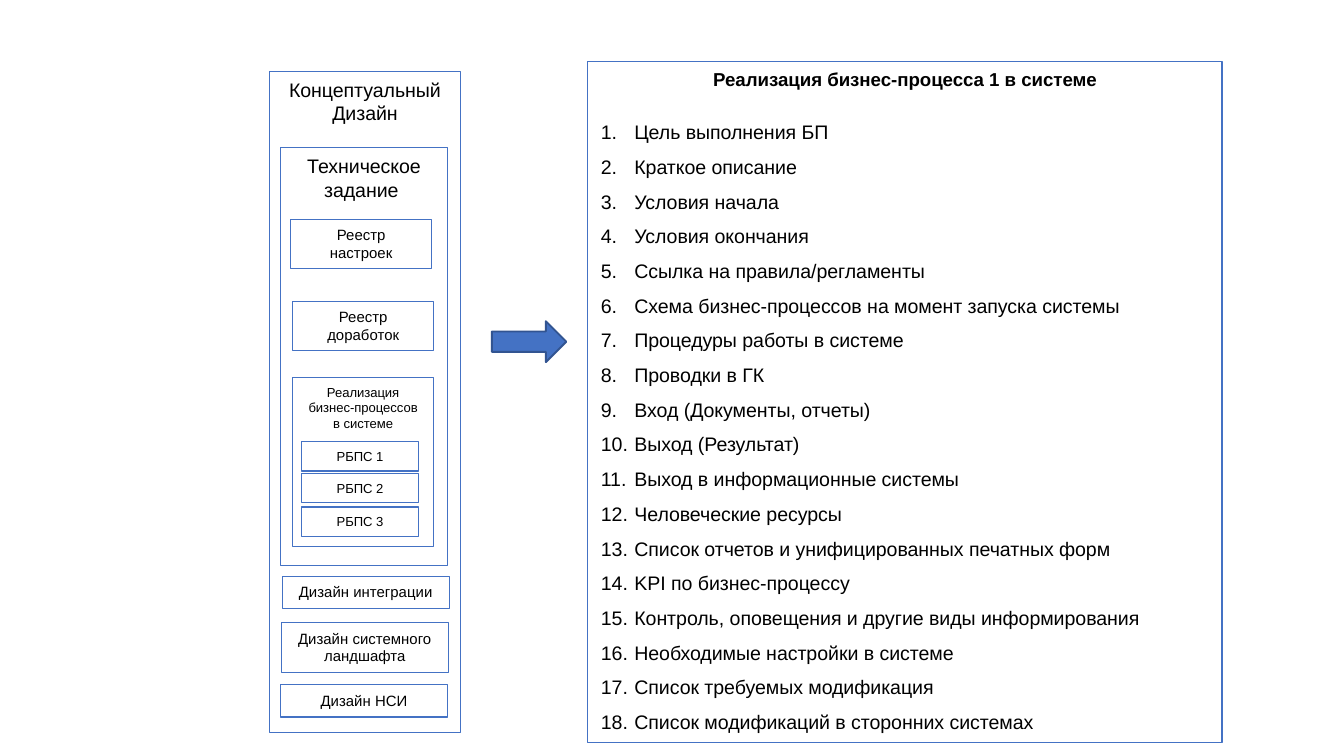
from dataclasses import dataclass

from lxml.etree import SubElement
from pptx import Presentation
from pptx.dml.color import RGBColor
from pptx.enum.shapes import MSO_SHAPE
from pptx.enum.text import MSO_ANCHOR, PP_ALIGN
from pptx.oxml.ns import qn
from pptx.util import Pt


@dataclass(frozen=True)
class Theme:
    font: str = "Arial"
    text: RGBColor = RGBColor(0x00, 0x00, 0x00)
    accent: RGBColor = RGBColor(0x44, 0x72, 0xC4)
    arrow_line: RGBColor = RGBColor(0x32, 0x54, 0x91)
    heading: float = 10.5
    title: float = 10
    label: float = 8
    small: float = 7


THEME = Theme()

LIST_TITLE = "Реализация бизнес-процесса 1 в системе"
LIST_ITEMS = [
    "Цель выполнения БП",
    "Краткое описание",
    "Условия начала",
    "Условия окончания",
    "Ссылка на правила/регламенты",
    "Схема бизнес-процессов на момент запуска системы",
    "Процедуры работы в системе",
    "Проводки в ГК",
    "Вход (Документы, отчеты)",
    "Выход (Результат)",
    "Выход в информационные системы",
    "Человеческие ресурсы",
    "Список отчетов и унифицированных печатных форм",
    "KPI по бизнес-процессу",
    "Контроль, оповещения и другие виды информирования",
    "Необходимые настройки в системе",
    "Список требуемых модификация",
    "Список модификаций в сторонних системах",
]

DESIGN_BOXES = [
    ("Концептуальный Дизайн", 144.4, 38.2, 102.3, 354.4, THEME.heading),
    ("Техническое задание ", 150.3, 79.2, 89.5, 223.7, THEME.heading),
    ("Дизайн интеграции", 151.2, 308.8, 89.5, 17.3, THEME.label),
    ("Дизайн системного ландшафта", 150.7, 333.5, 89.5, 26.8, THEME.label),
    ("Дизайн НСИ", 150.3, 366.8, 89.5, 17.3, THEME.label),
    ("Реестр настроек", 155.7, 117.5, 75.6, 26.5, THEME.label),
    ("Реестр доработок", 156.8, 161.4, 75.6, 26.5, THEME.label),
    ("Реализация бизнес-процессов в системе", 156.7, 202.2, 75.6, 90.7, THEME.small),
]
PROCESS_TOPS = [236.5, 253.6, 271.7]


def format_paragraph(p, size, align=PP_ALIGN.CENTER, bold=False):
    p.alignment = align
    for r in p.runs:
        r.font.name = THEME.font
        r.font.size = Pt(size)
        r.font.bold = bold
        r.font.color.rgb = THEME.text


def add_frame(s, left, top, width, height):
    sp = s.shapes.add_shape(
        MSO_SHAPE.RECTANGLE, Pt(left), Pt(top), Pt(width), Pt(height)
    )
    sp.shadow.inherit = False
    sp.fill.background()
    sp.line.color.rgb = THEME.accent
    sp.line.width = Pt(0.75)
    tf = sp.text_frame
    tf.word_wrap = True
    tf.vertical_anchor = MSO_ANCHOR.TOP
    return tf


def add_box(s, text, left, top, width, height, size):
    tf = add_frame(s, left, top, width, height)
    tf.text = text
    format_paragraph(tf.paragraphs[0], size)


def number_paragraph(p):
    pPr = p._p.get_or_add_pPr()
    pPr.set("marL", str(Pt(18)))
    pPr.set("indent", str(-Pt(18)))
    SubElement(pPr, qn("a:buFont"), typeface="+mj-lt")
    SubElement(pPr, qn("a:buAutoNum"), type="arabicPeriod")


def add_numbered_list(s, title, items, left, top, width, height):
    tf = add_frame(s, left, top, width, height)
    p = tf.paragraphs[0]
    p.text = title
    p.space_after = Pt(9.75)
    format_paragraph(p, THEME.title, bold=True)
    for item in items:
        p = tf.add_paragraph()
        p.text = item
        p.space_before = Pt(6)
        format_paragraph(p, THEME.heading, PP_ALIGN.LEFT)
        number_paragraph(p)


def add_block_arrow(s, left, top, width, height):
    sp = s.shapes.add_shape(
        MSO_SHAPE.RIGHT_ARROW, Pt(left), Pt(top), Pt(width), Pt(height)
    )
    sp.shadow.inherit = False
    sp.fill.solid()
    sp.fill.fore_color.rgb = THEME.accent
    sp.line.color.rgb = THEME.arrow_line
    sp.line.width = Pt(1)


def main():
    prs = Presentation()
    prs.slide_width, prs.slide_height = Pt(720), Pt(405)
    s = prs.slides.add_slide(prs.slide_layouts[6])
    add_numbered_list(s, LIST_TITLE, LIST_ITEMS, 314.8, 33, 340, 365)
    for box in DESIGN_BOXES:
        add_box(s, *box)
    for number, top in enumerate(PROCESS_TOPS, 1):
        add_box(s, f"РБПС {number}", 161.5, top, 62.8, 15.8, THEME.small)
    add_block_arrow(s, 263.5, 172.1, 39.9, 21.9)
    prs.save("out.pptx")


if __name__ == "__main__":
    main()
